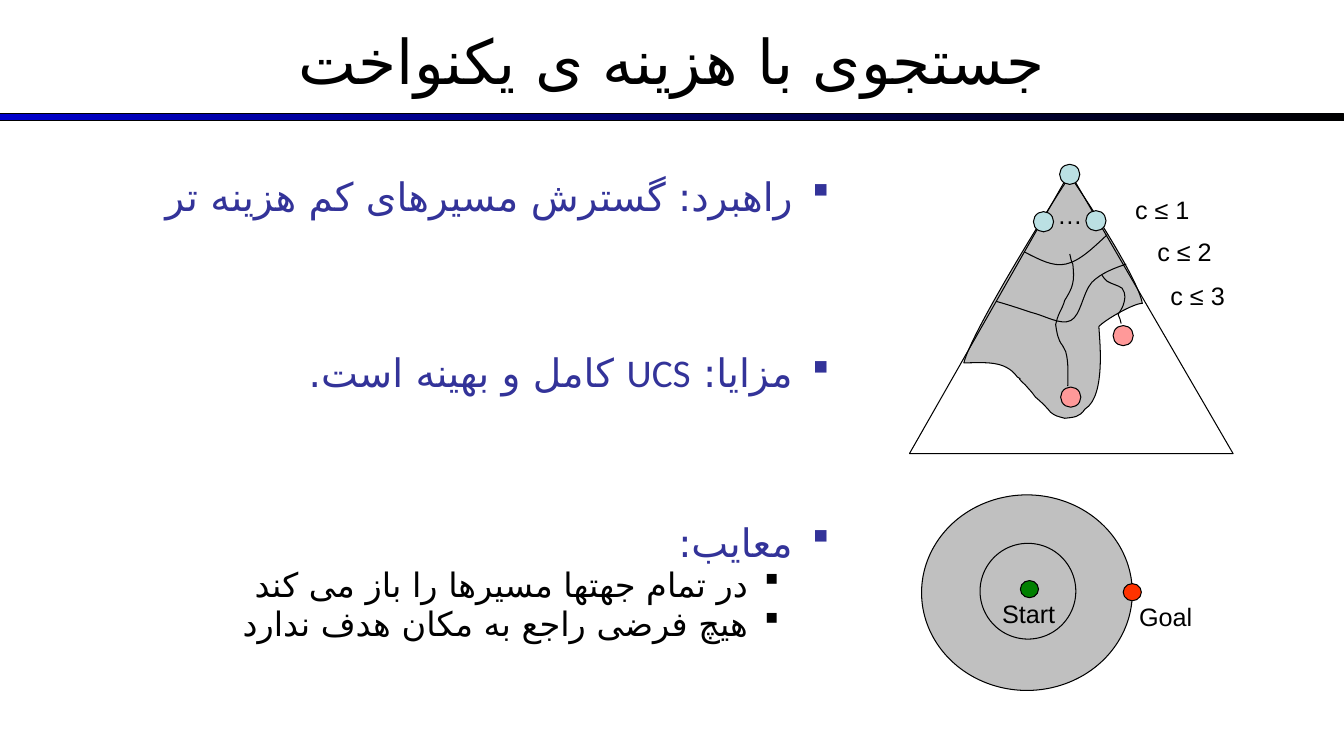
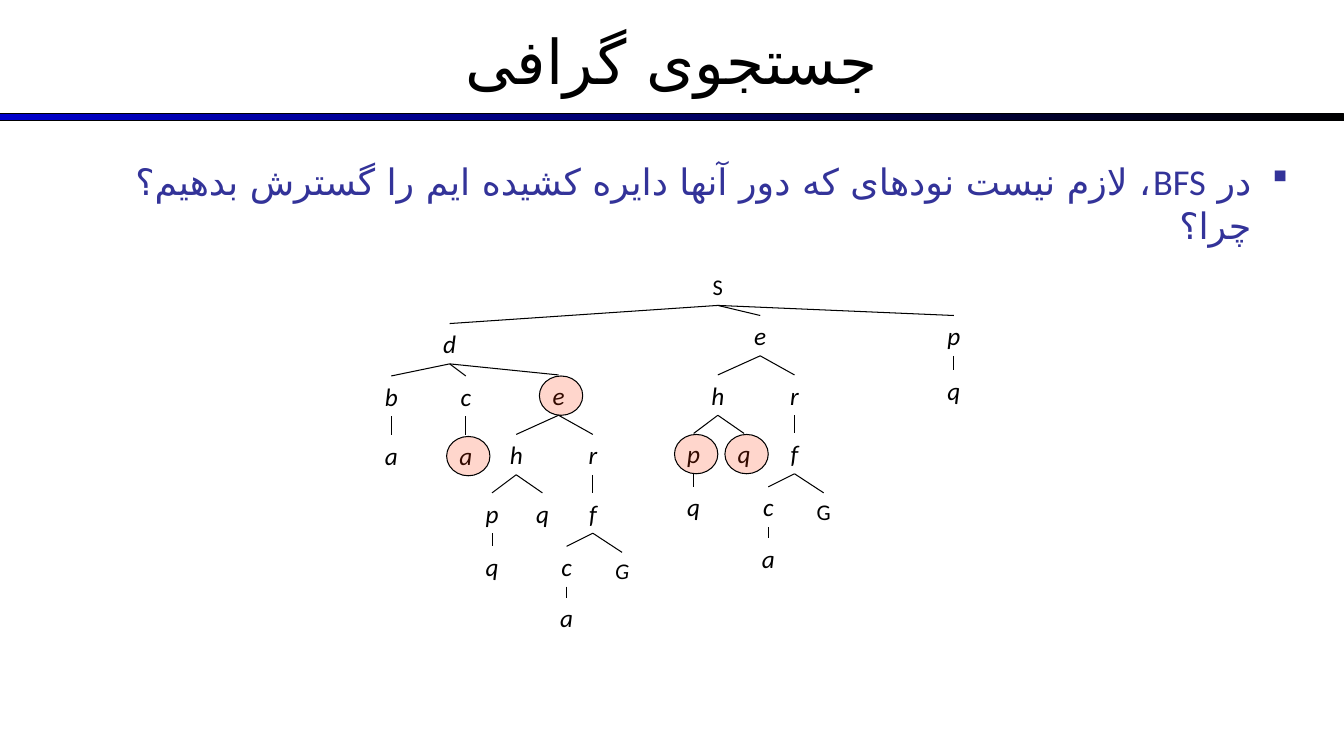
from collections import namedtuple

from lxml import etree
from pptx import Presentation
from pptx import util as u
from pptx.dml import color
from pptx.enum import shapes, text
from pptx.oxml import ns

PX = 9144
WIDTH, HEIGHT = 1333, 750
BLACK, NAVY, BLUE = "000000", "333399", "0000CC"
GREY, SKY, PINK, RED, GREEN = "C0C0C0", "BBE0E3", "FF9999", "FF3300", "008000"
PERSIAN = "DejaVu Sans"
OVAL = shapes.MSO_SHAPE.OVAL
LEFT, CENTER, RIGHT = text.PP_ALIGN.LEFT, text.PP_ALIGN.CENTER, text.PP_ALIGN.RIGHT

Bullet = namedtuple("Bullet", "words size level before", defaults=(28, 0, 0))
Node = namedtuple("Node", "letter dx dy children ringed italic", defaults=((), False, True))

EXPLORED = [
    (165, 12), (178, 31), (227, 106), (231, 130), (222, 130), (193, 147), (188, 153),
    (188, 161), (196, 222), (174, 235), (169, 243), (163, 243), (154, 244),
    (147, 242), (145, 242), (140, 238), (137, 234), (130, 227), (125, 223),
    (119, 215), (122, 219), (115, 211), (102, 199), (115, 208), (107, 203),
    (95, 186), (74, 189), (54, 189), (62, 158), (134, 42), (153, 13),
    (171, -16), (162, 12), (165, 12)]
CONTOURS = [
    [(196, 62), (182, 75), (169, 88), (155, 91), (142, 94), (128, 86), (114, 79)],
    [(215, 91), (203, 95), (190, 100), (181, 109), (172, 119), (170, 142), (160, 147),
     (150, 152), (134, 142), (121, 139), (109, 135), (97, 131), (86, 128)]]
GOAL_PATHS = [
    [(159, 81), (160, 84), (160, 88), (162, 91), (164, 109), (162, 114), (154, 127),
     (153, 131), (151, 135), (149, 139), (147, 143), (146, 147), (145, 151),
     (146, 158), (147, 166), (152, 172), (153, 174), (154, 176), (155, 178),
     (158, 189), (157, 199), (157, 212)],
    [(191, 102), (192, 104), (194, 106), (196, 108), (201, 111), (207, 112), (211, 115),
     (215, 121), (214, 126), (212, 132), (211, 135), (207, 141), (207, 141),
     (208, 144), (210, 147), (210, 150)]]


def px(*lengths):
    """Turn px lengths into EMU."""
    return [u.Emu(round(length * PX)) for length in lengths]


def rgb(code):
    """Turn a hex string into a colour."""
    return color.RGBColor.from_string(code)


def paint(shape, fill=None, alpha=None):
    """Give a shape its fill and a thin black outline."""
    shape.shadow.inherit = False
    shape.line.color.rgb = rgb(BLACK)
    shape.line.width = u.Pt(0.75)
    if fill is None:
        shape.fill.background()
        return
    shape.fill.solid()
    shape.fill.fore_color.rgb = rgb(fill)
    if alpha:
        code = shape.fill._xPr.find(".//" + ns.qn("a:srgbClr"))
        etree.SubElement(code, ns.qn("a:alpha"), val=str(alpha * 1000))


def add_outline(slide, kind, x, y, w, h, fill=None, alpha=None):
    """Draw a preset shape."""
    shape = slide.shapes.add_shape(kind, *px(x, y, w, h))
    paint(shape, fill, alpha)
    return shape


def add_polygon(slide, x, y, points, closed):
    """Draw a freeform through points relative to a corner."""
    track = [px(x + left, y + top) for left, top in points]
    builder = slide.shapes.build_freeform(*track[0], scale=1.0)
    builder.add_line_segments(track[1:], close=closed)
    return builder.convert_to_shape()


def add_curve(slide, x, y, points, fill=None):
    """Draw a chain of cubic curves, closed when it has a fill."""
    shape = add_polygon(slide, x, y, points, fill is not None)
    segments = list(shape._element.iter(ns.qn("a:lnTo")))
    for i in range(0, len(points) - 1, 3):
        curve, *rest = segments[i:i + 3]
        curve.tag = ns.qn("a:cubicBezTo")
        for segment in rest:
            curve.append(segment[0])
            segment.getparent().remove(segment)
    paint(shape, fill)


def style(paragraph, size, font, tint, italic=False):
    """Format the runs of a paragraph, complex script included."""
    for run in paragraph.runs:
        run.font.size = u.Pt(size)
        run.font.italic = italic
        run.font.color.rgb = rgb(tint)
        run.font.name = font
        etree.SubElement(run._r.get_or_add_rPr(), ns.qn("a:cs"), typeface=PERSIAN)


def add_label(slide, words, x, y, w, h=40, size=18, font="Arial", align=LEFT, italic=False):
    """Place one line of black text."""
    label = slide.shapes.add_textbox(*px(x, y, w, h))
    label.text_frame.word_wrap = True
    label.text_frame.text = words
    paragraph = label.text_frame.paragraphs[0]
    paragraph.alignment = align
    style(paragraph, size, font, BLACK, italic)
    return label


def add_bullets(slide, x, y, w, h, bullets, spacing=None):
    """Fill a box with right-to-left bullets."""
    frame = slide.shapes.add_textbox(*px(x, y, w, h)).text_frame
    frame.word_wrap = True
    frame.text = "\n".join(bullet.words for bullet in bullets)
    for paragraph, bullet in zip(frame.paragraphs, bullets):
        margin, hang, tint = ((37, 37, NAVY), (81, 31, BLACK))[bullet.level]
        props = paragraph._p.get_or_add_pPr()
        for name, value in (("marL", margin * PX), ("indent", -hang * PX), ("rtl", 1)):
            props.set(name, str(value))
        mark = etree.SubElement(props, ns.qn("a:buClr"))
        etree.SubElement(mark, ns.qn("a:srgbClr"), val=tint)
        etree.SubElement(props, ns.qn("a:buFont"), typeface="Wingdings", charset="2")
        etree.SubElement(props, ns.qn("a:buChar"), char="§")
        paragraph.level = bullet.level
        paragraph.alignment = RIGHT
        if spacing:
            paragraph.line_spacing = spacing
        if bullet.before:
            paragraph.space_before = u.Pt(bullet.before)
        style(paragraph, bullet.size, "Calibri", tint)


def add_titled_slide(deck, title):
    """Start a slide with the gradient band and its title."""
    slide = deck.slides.add_slide(deck.slide_layouts[6])
    band = add_outline(slide, shapes.MSO_SHAPE.RECTANGLE, 0, 113, WIDTH, 7)
    band.fill.gradient()
    band.fill.gradient_angle = 0
    for stop, tint in zip(band.fill.gradient_stops, (BLUE, BLACK)):
        stop.color.rgb = rgb(tint)
    heading = add_label(slide, title, 0, -3, WIDTH, 125, 44, "Calibri", CENTER)
    heading.text_frame.vertical_anchor = text.MSO_ANCHOR.MIDDLE
    return slide


def draw_cost_triangle(slide, x, y, w, h):
    """Draw the search triangle with its cost contours."""
    add_curve(slide, x, y, EXPLORED, GREY)
    paint(add_polygon(slide, x, y, [(0, h), (w, h), (159, 0)], True))
    for curve in CONTOURS + GOAL_PATHS:
        add_curve(slide, x, y, curve)
    for left, top, tint in ((149, -8, SKY), (123, 39, SKY), (175, 38, SKY),
                            (202, 152, PINK), (150, 213, PINK)):
        add_outline(slide, OVAL, x + left, y + top, 20, 20, tint)
    for words, left, top, width in (("…", 137, 22, 30), ("c ≤ 1", 214, 17, 90),
                                    ("c ≤ 2", 236, 59, 90), ("c ≤ 3", 249, 102, 90)):
        add_label(slide, words, x + left, y + top, width)


def draw_search_rings(slide, x, y, w, h):
    """Draw the rings that spread from start to goal."""
    add_outline(slide, OVAL, x, y, w, h, GREY)
    add_outline(slide, OVAL, x + 58, y + 48, 95, 95)
    for words, left, top, tint, label_left in (("Start", 98, 85, GREEN, 70),
                                               ("Goal", 200, 88, RED, 206)):
        add_outline(slide, OVAL, x + left, y + top, 18, 17, tint)
        add_label(slide, words, x + label_left, y + top + 13, 100)


def e_branch(dx, dy, ringed="", goal_italic=False):
    """Describe the subtree below e, which occurs twice."""
    def node(letter, left, top, *children):
        return Node(letter, left, top, children, letter in ringed,
                    letter != "G" or goal_italic)

    return node("e", dx, dy,
                node("h", -42, 59,
                     node("p", -24, 58, Node("q", 0, 53)),
                     node("q", 26, 58)),
                node("r", 34, 59,
                     node("f", 0, 58,
                          node("c", -26, 53, node("a", 0, 51)),
                          node("G", 29, 59))))


def draw_tree(slide, node, x, y, rings, parent=None):
    """Place a node, join it to its parent and go on to its children."""
    w, h, size = (83, 37, 16) if node.letter.isupper() else (42, 40, 18)
    x, y = x + node.dx, y + node.dy
    label = add_label(slide, node.letter, x - w / 2, y, w, h, size,
                      "Calibri", CENTER, node.italic)
    if parent is not None:
        edge = slide.shapes.add_connector(shapes.MSO_CONNECTOR.STRAIGHT, 0, 0, 0, 0)
        edge.begin_connect(parent, 2)
        edge.end_connect(label, 0)
        edge.line.color.rgb = rgb(BLACK)
        edge.line.width = u.Pt(0.75)
        etree.SubElement(edge._element.spPr, ns.qn("a:effectLst"))
    if node.ringed:
        rings.append((x - 19, y + 1))
    for child in node.children:
        draw_tree(slide, child, x, y, rings, label)


def build_uniform_cost(deck):
    """Build the slide on uniform-cost search."""
    slide = add_titled_slide(deck, "جستجوی با هزینه ی یکنواخت")
    add_bullets(slide, 50, 175, 783, 495, [
        Bullet("راهبرد: گسترش مسیرهای کم هزینه تر"),
        Bullet("مزایا: UCS کامل و بهینه است.", before=99),
        Bullet("معایب:", before=94),
        Bullet("در تمام جهتها مسیرها را باز می کند", 24, 1, 5),
        Bullet("هیچ فرضی راجع به مکان هدف ندارد", 24, 1, 5)], 0.8)
    draw_cost_triangle(slide, 902, 171, 321, 279)
    draw_search_rings(slide, 914, 491, 209, 194)


def build_graph_search(deck):
    """Build the slide on graph search."""
    slide = add_titled_slide(deck, "جستجوی گرافی")
    add_bullets(slide, 44, 153, 1244, 517, [Bullet(
        "در BFS، لازم نیست نودهای که دور آنها دایره کشیده ایم را گسترش بدهیم؟ چرا؟", 26)])
    tree = Node("S", 0, 0, (
        Node("d", -266, 55, (
            Node("b", -58, 52, (Node("a", 0, 59),)),
            Node("c", 16, 52, (Node("a", 0, 59, ringed=True),)),
            e_branch(108, 51, "e", True))),
        e_branch(42, 47, "pq"),
        Node("p", 234, 47, (Node("q", 0, 54),))), italic=False)
    rings = []
    draw_tree(slide, tree, 712, 266, rings)
    for left, top in rings:
        add_outline(slide, OVAL, left, top, 43, 39, RED, 20)


def main():
    """Build and save the deck."""
    deck = Presentation()
    deck.slide_width, deck.slide_height = px(WIDTH, HEIGHT)
    build_uniform_cost(deck)
    build_graph_search(deck)
    deck.save("out.pptx")


if __name__ == "__main__":
    main()
